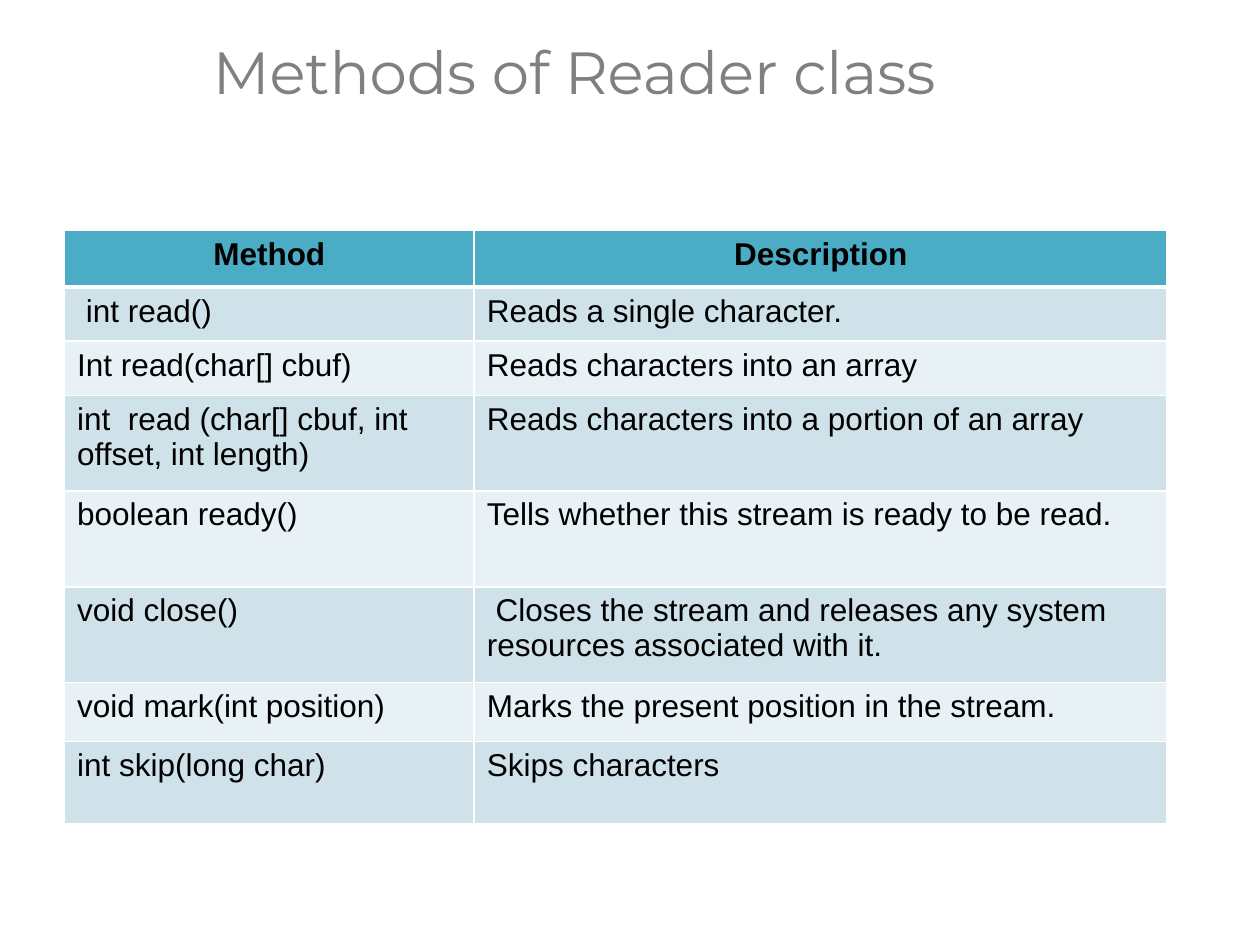
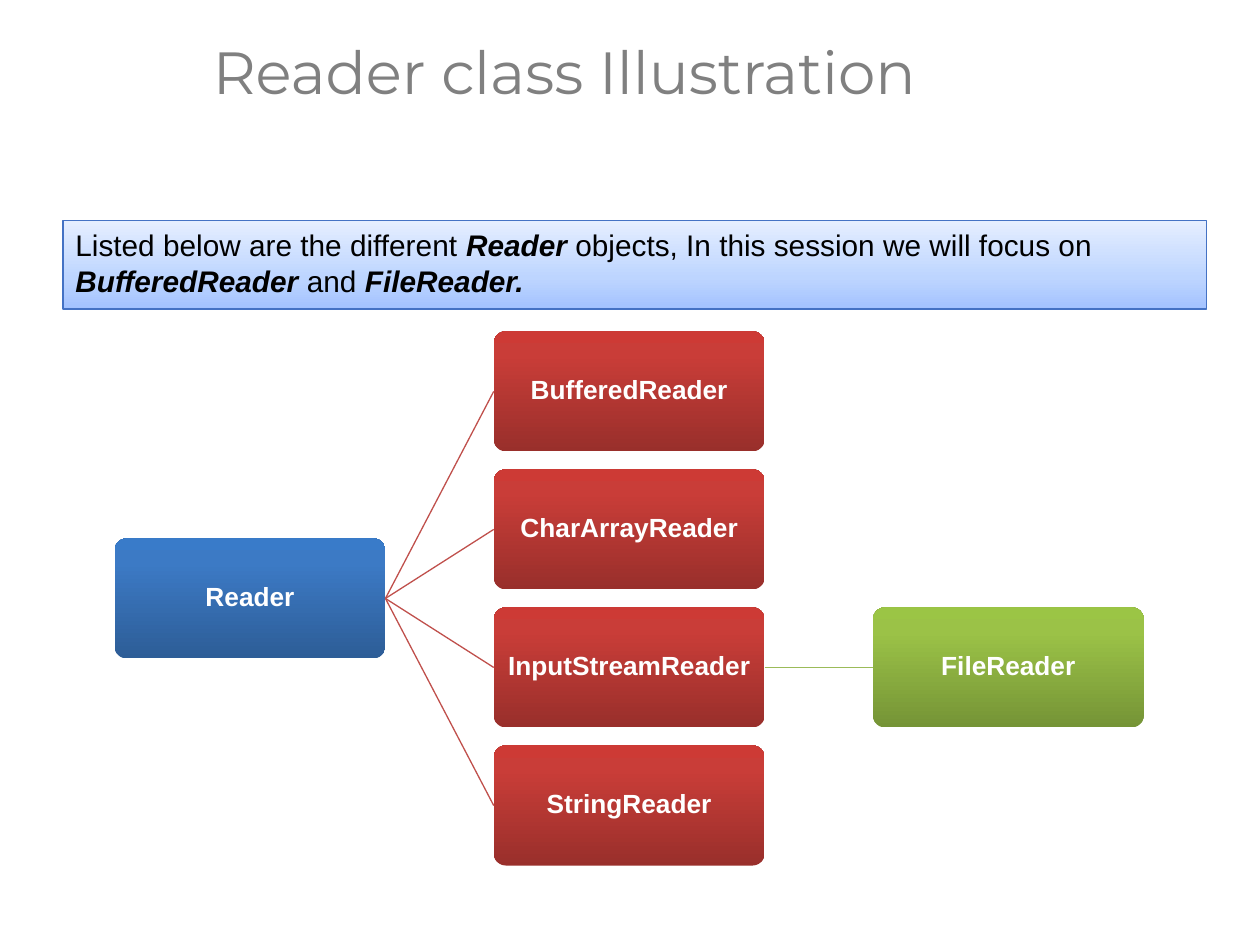
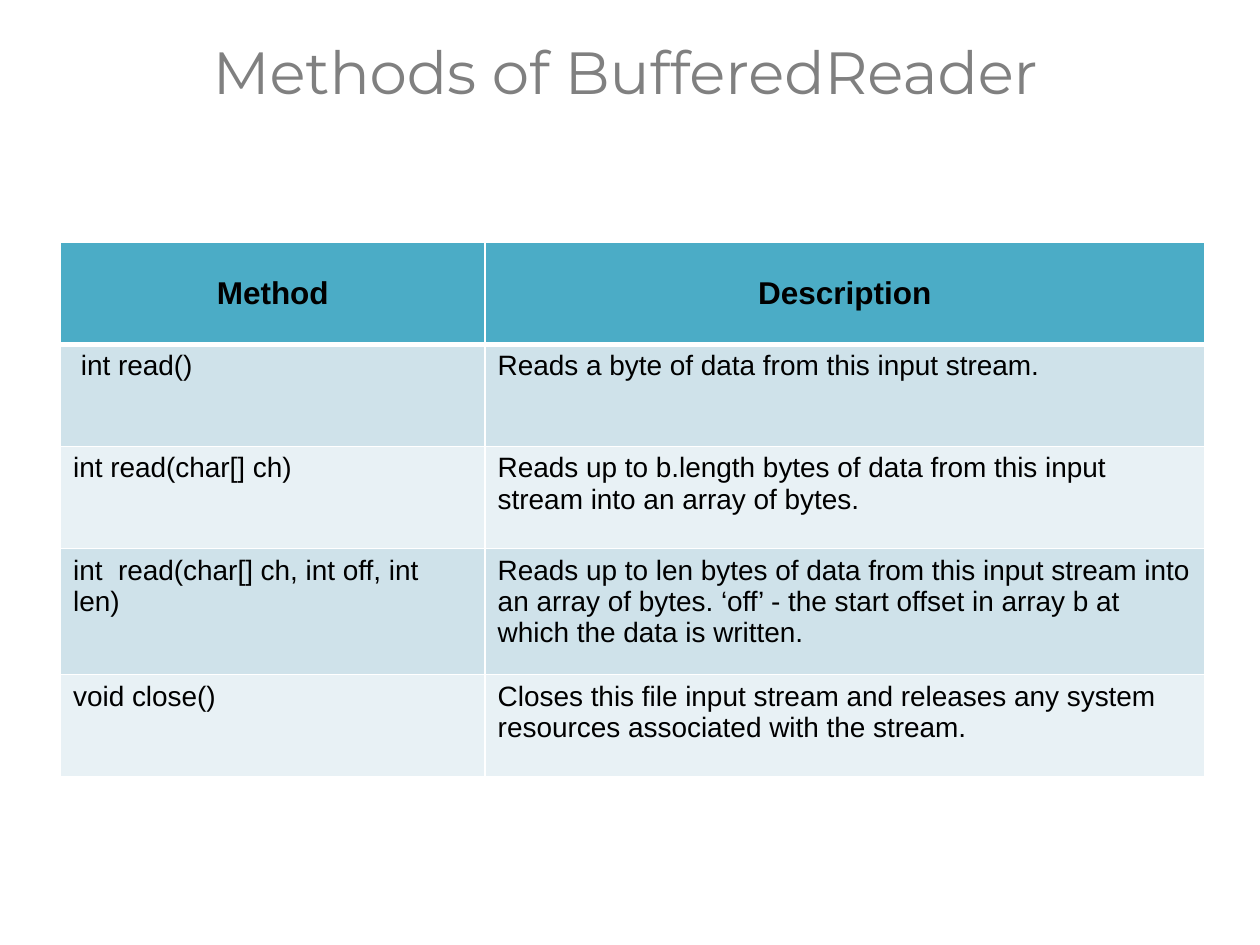
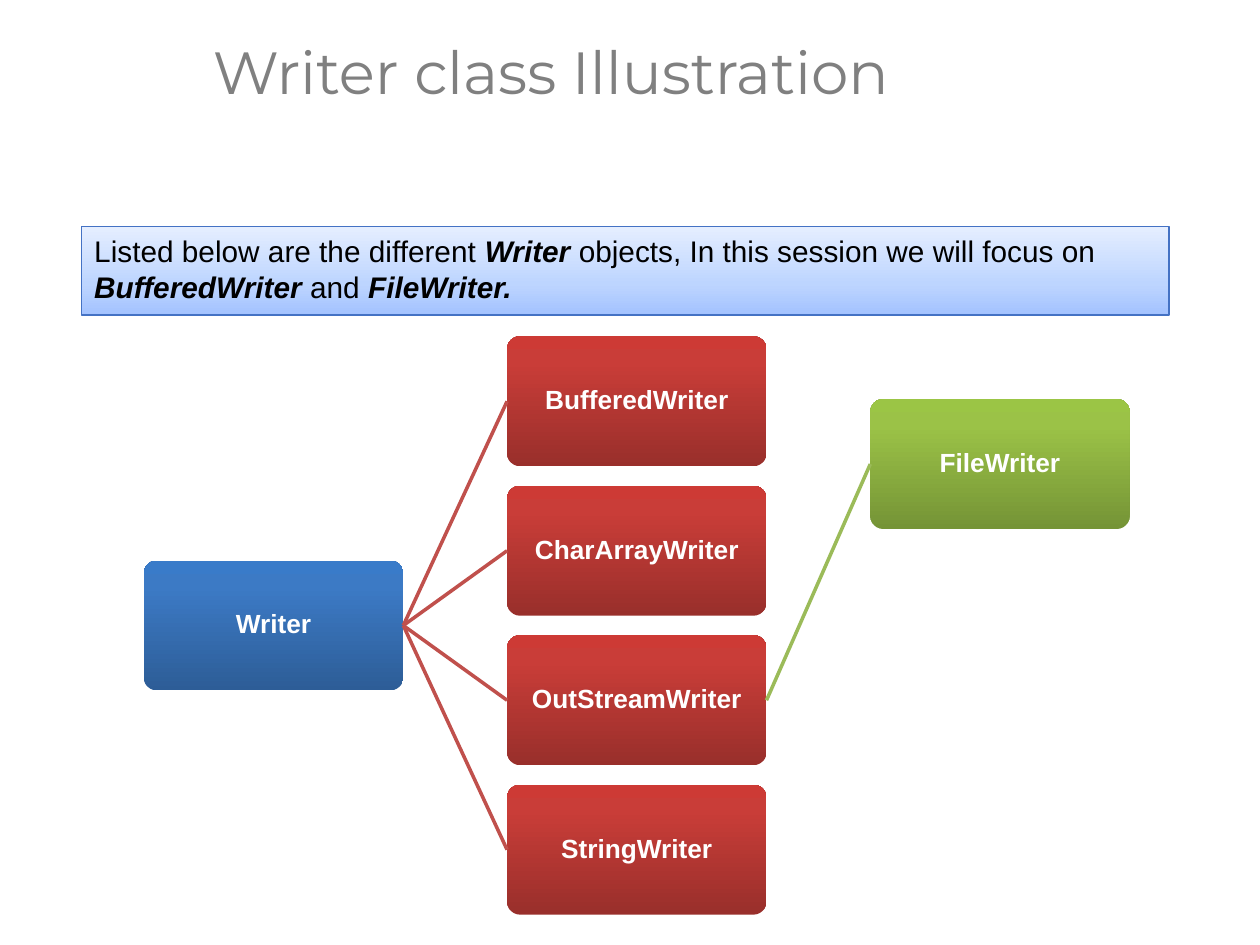
from copy import deepcopy

from lxml import etree
from pptx import Presentation
from pptx import util as u
from pptx.dml.color import RGBColor
from pptx.enum import shapes, text
from pptx.oxml import ns

GREY = RGBColor(0x80, 0x80, 0x80)
BLACK = RGBColor(0x00, 0x00, 0x00)
WHITE = RGBColor(0xFF, 0xFF, 0xFF)
TEAL = RGBColor(0x4B, 0xAC, 0xC6)
BAND_DARK = RGBColor(0xCF, 0xE2, 0xEA)
BAND_LIGHT = RGBColor(0xE8, 0xF1, 0xF5)
BANNER_LINE = RGBColor(0x44, 0x72, 0xC4)
RED_LINE = RGBColor(0xC0, 0x50, 0x4C)
GREEN_LINE = RGBColor(0x9B, 0xBB, 0x59)

# Gradient stops from bottom to top: (position, colour)
BLUE_FADE = [(0, RGBColor(0x2D, 0x5D, 0x97)), (0.8, RGBColor(0x3C, 0x7A, 0xC5)),
             (1, RGBColor(0x39, 0x7B, 0xC9))]
RED_FADE = [(0, RGBColor(0x99, 0x2F, 0x2B)), (0.8, RGBColor(0xC9, 0x3D, 0x38)),
            (1, RGBColor(0xCD, 0x3A, 0x35))]
GREEN_FADE = [(0, RGBColor(0x75, 0x94, 0x36)), (0.8, RGBColor(0x9B, 0xC2, 0x47)),
              (1, RGBColor(0x9B, 0xC5, 0x45))]
BANNER_FADE = [(0, RGBColor(0xA3, 0xC2, 0xFF)), (0.35, RGBColor(0xBD, 0xD5, 0xFF)),
               (1, RGBColor(0xE5, 0xEE, 0xFF))]

TOP, LEFT, BOTTOM, RIGHT = range(4)
CENTER = text.PP_ALIGN.CENTER
MIDDLE = text.MSO_ANCHOR.MIDDLE


def write(tf, content, size=18, font="Arial", color=BLACK, bold=False,
          align=text.PP_ALIGN.LEFT, spacing=None):
    """Fill a text frame; parts between asterisks become bold italic."""
    p = tf.paragraphs[0]
    p.alignment = align
    p.line_spacing = spacing
    for i, part in enumerate(content.split("*")):
        if not part:
            continue
        marked = i % 2 == 1
        r = p.add_run()
        r.text = part
        r.font.name, r.font.size = font, u.Pt(size)
        r.font.color.rgb = color
        r.font.bold, r.font.italic = bold or marked, marked


def fade(sp, stops):
    """Give a shape a three-stop gradient that rises from bottom to top."""
    sp.fill.gradient()
    sp.fill.gradient_angle = 90
    gs_lst = sp._element.spPr.find(".//" + ns.qn("a:gsLst"))
    gs_lst.append(deepcopy(gs_lst[0]))
    for stop, (position, color) in zip(sp.fill.gradient_stops, stops):
        stop.position = position
        stop.color.rgb = color


def set_borders(cell, top=1, bottom=1):
    tc_pr = cell._tc.get_or_add_tcPr()
    widths = {"lnL": 1, "lnR": 1, "lnT": top, "lnB": bottom}
    for i, (side, width) in enumerate(widths.items()):
        ln = etree.Element(ns.qn("a:" + side), w=str(u.Pt(width)))
        fill = etree.SubElement(ln, ns.qn("a:solidFill"))
        etree.SubElement(fill, ns.qn("a:srgbClr"), val=str(WHITE))
        tc_pr.insert(i, ln)


class Deck:
    """Holds the shared style and the slide being built."""

    def __init__(self):
        self.prs = Presentation()
        self.prs.slide_width, self.prs.slide_height = u.Cm(25.4), u.Cm(19.05)
        self.s = None

    def new_slide(self, title):
        self.s = self.prs.slides.add_slide(self.prs.slide_layouts[6])
        sp = self.s.shapes.add_textbox(u.Cm(4.04), u.Cm(-0.05), u.Cm(21.36), u.Cm(3.15))
        tf = sp.text_frame
        tf.word_wrap = True
        tf.vertical_anchor = MIDDLE
        write(tf, title, size=34, font="Montserrat", color=GREY, spacing=0.9)

    def table(self, left, top, widths, heights, rows, size=18, header_anchor=None):
        frame = self.s.shapes.add_table(len(rows), len(widths), u.Cm(left), u.Cm(top),
                                        u.Cm(sum(widths)), u.Cm(sum(heights)))
        tbl = frame.table
        for column, width in zip(tbl.columns, widths):
            column.width = u.Cm(width)
        for i, (row, height, values) in enumerate(zip(tbl.rows, heights, rows)):
            row.height = u.Cm(height)
            for cell, value in zip(row.cells, values):
                cell.fill.solid()
                if i == 0:
                    cell.fill.fore_color.rgb = TEAL
                    cell.vertical_anchor = header_anchor
                    write(cell.text_frame, value, bold=True, align=CENTER)
                else:
                    cell.fill.fore_color.rgb = BAND_DARK if i % 2 else BAND_LIGHT
                    write(cell.text_frame, value, size=size)
                set_borders(cell, top=3 if i == 1 else 1, bottom=3 if i == 0 else 1)

    def banner(self, left, top, width, content):
        sp = self.s.shapes.add_shape(shapes.MSO_SHAPE.RECTANGLE, u.Cm(left), u.Cm(top),
                                     u.Cm(width), u.Cm(1.78))
        sp.shadow.inherit = False
        fade(sp, BANNER_FADE)
        sp.line.color.rgb, sp.line.width = BANNER_LINE, u.Pt(0.75)
        tf = sp.text_frame
        tf.word_wrap = True
        tf.auto_size = text.MSO_AUTO_SIZE.SHAPE_TO_FIT_TEXT
        tf.vertical_anchor = text.MSO_ANCHOR.TOP
        write(tf, content, size=17)

    def box(self, left, top, width, height, label, stops):
        sp = self.s.shapes.add_shape(shapes.MSO_SHAPE.ROUNDED_RECTANGLE, u.Cm(left),
                                     u.Cm(top), u.Cm(width), u.Cm(height))
        sp.adjustments[0] = 0.1
        sp.shadow.inherit = False
        fade(sp, stops)
        sp.line.fill.background()
        tf = sp.text_frame
        tf.word_wrap = True
        tf.vertical_anchor = MIDDLE
        tf.margin_left = tf.margin_right = tf.margin_top = tf.margin_bottom = u.Cm(0.03)
        write(tf, label, size=15, color=WHITE, bold=True, align=CENTER, spacing=0.9)
        return sp

    def link(self, start, end, color, weight):
        """Join the right side of one box to the left side of another."""
        cx = self.s.shapes.add_connector(shapes.MSO_CONNECTOR.STRAIGHT, 0, 0, 0, 0)
        cx.begin_connect(start, RIGHT)
        cx.end_connect(end, LEFT)
        cx.line.color.rgb, cx.line.width = color, u.Pt(weight)
        etree.SubElement(cx._element.spPr, ns.qn("a:effectLst"))

    def class_tree(self, left, top, width, height, root, children, leaf, leaf_row, weight):
        """Draw root, children and leaf; the leaf belongs to the third child."""
        step, pitch = 1.4 * width, 1.15 * height

        def place(level, row, label, stops):
            return self.box(left + level * step, top + row * pitch, width, height,
                            label, stops)

        root_box = place(0, (len(children) - 1) / 2, root, BLUE_FADE)
        child_boxes = [place(1, i, name, RED_FADE) for i, name in enumerate(children)]
        leaf_box = place(2, leaf_row, leaf, GREEN_FADE)
        for child in child_boxes:
            self.link(root_box, child, RED_LINE, weight)
        self.link(child_boxes[2], leaf_box, GREEN_LINE, weight)


def main():
    deck = Deck()
    header = ("Method", "Description")

    deck.new_slide("Methods of Reader class")
    deck.table(1.3, 4.65, [8.26, 13.97], [1.14, 1.09, 1.09, 1.93, 1.93, 1.93, 1.19, 1.65], [
        header,
        (" int read()", "Reads a single character."),
        ("Int read(char[] cbuf)", "Reads characters into an array"),
        ("int  read (char[] cbuf, int offset, int length)",
         "Reads characters into a portion of an array"),
        ("boolean ready()", "Tells whether this stream is ready to be read."),
        ("void close()",
         " Closes the stream and releases any system resources associated with it."),
        ("void mark(int position)", "Marks the present position in the stream."),
        ("int skip(long char)", "Skips characters"),
    ])

    deck.new_slide("Reader class Illustration")
    deck.class_tree(2.31, 6.68, 5.46, 2.42, "Reader",
                    ["BufferedReader", "CharArrayReader", "InputStreamReader", "StringReader"],
                    "FileReader", leaf_row=2, weight=0.75)
    deck.banner(1.27, 4.45, 23.06,
                "Listed below are the different *Reader *objects, In this session we will "
                "focus on *BufferedReader* and *FileReader.*")

    deck.new_slide("Methods of BufferedReader")
    deck.table(1.22, 4.88, [8.56, 14.5], [2.06, 2.06, 2.06, 2.54, 2.06], [
        header,
        (" int read()", "Reads a byte of data from this input stream."),
        ("int read(char[] ch)",
         "Reads up to b.length bytes of data from this input stream into an array of bytes."),
        ("int  read(char[] ch, int off, int len)",
         "Reads up to len bytes of data from this input stream into an array of bytes. "
         "‘off’ - the start offset in array b at which the data is written."),
        ("void close()",
         "Closes this file input stream and releases any system resources associated "
         "with the stream."),
    ], size=16, header_anchor=MIDDLE)

    deck.new_slide("Writer class Illustration")
    deck.class_tree(2.9, 6.78, 5.23, 2.62, "Writer",
                    ["BufferedWriter", "CharArrayWriter", "OutStreamWriter", "StringWriter"],
                    "FileWriter", leaf_row=0.42, weight=2)
    deck.banner(1.65, 4.57, 21.92,
                "Listed below are the different *Writer *objects, In this session we will "
                "focus on *BufferedWriter* and *FileWriter.*")

    deck.prs.save("out.pptx")


if __name__ == "__main__":
    main()
